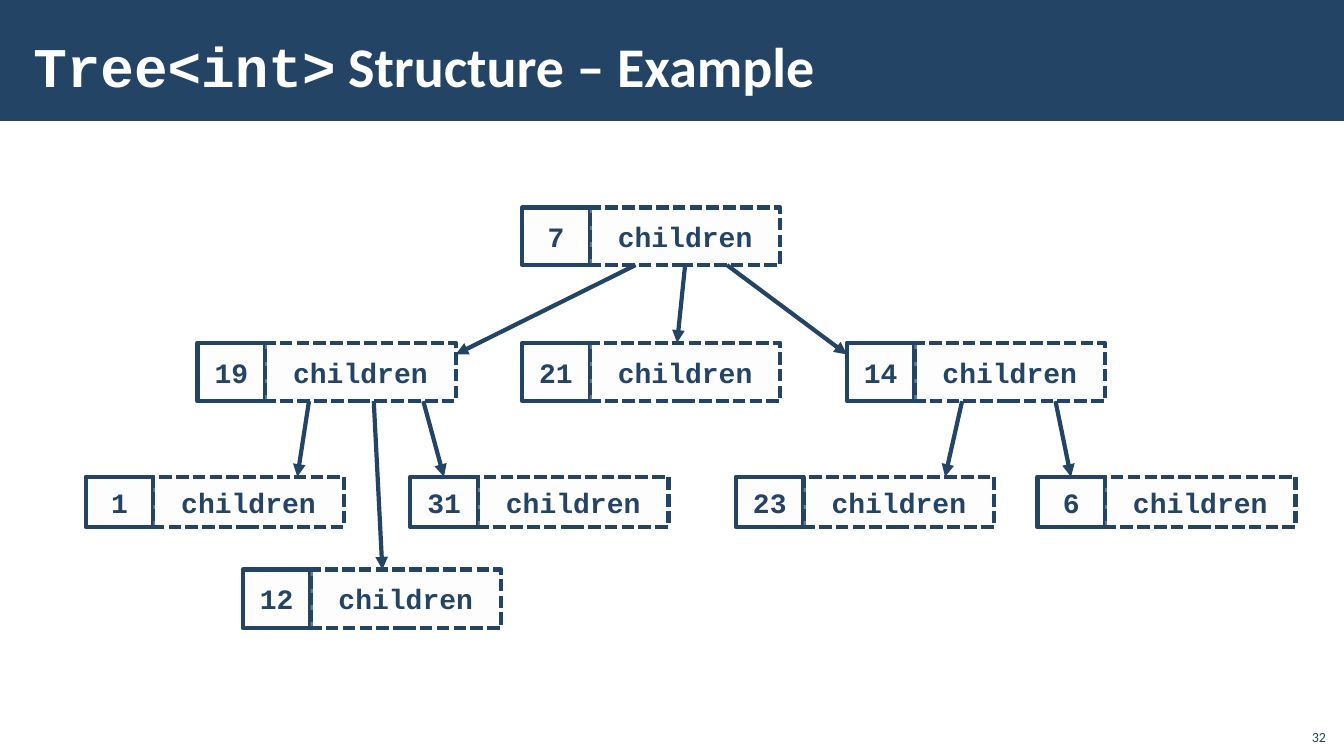
from dataclasses import dataclass

from lxml import etree
from pptx import Presentation
from pptx.dml.color import RGBColor
from pptx.enum.dml import MSO_LINE
from pptx.enum.shapes import MSO_CONNECTOR, MSO_SHAPE
from pptx.enum.text import MSO_ANCHOR, MSO_AUTO_SIZE, PP_ALIGN
from pptx.oxml.ns import qn
from pptx.util import Inches, Pt

RECT, STRAIGHT = MSO_SHAPE.RECTANGLE, MSO_CONNECTOR.STRAIGHT
SOLID, DASHED = MSO_LINE.SOLID, MSO_LINE.SQUARE_DOT
MIDDLE, BOTTOM = MSO_ANCHOR.MIDDLE, MSO_ANCHOR.BOTTOM
CENTER, LEFT, RIGHT = PP_ALIGN.CENTER, PP_ALIGN.LEFT, PP_ALIGN.RIGHT


@dataclass(frozen=True)
class Theme:
    navy: RGBColor = RGBColor(0x23, 0x44, 0x65)
    white: RGBColor = RGBColor(0xFF, 0xFF, 0xFF)
    cell: RGBColor = RGBColor(0xFB, 0xFB, 0xFC)
    cell_alpha: int = 30000
    code_font: str = "Courier New"
    text_font: str = "Calibri"
    title_size: int = 40
    node_size: int = 20
    number_size: int = 10
    stroke: int = 3


THEME = Theme()

# Content
TITLE = [("Tree<int>", THEME.code_font), (" Structure – Example", THEME.text_font)]
CHILDREN = "children"
PAGE = "32"

# Levels of the tree: top, height
LEVELS = [(2.06, 0.57), (3.4, 0.58), (4.73, 0.5), (5.65, 0.58)]
# Node value: level, left
NODES = {
    "7": (0, 5.18),
    "19": (1, 1.96), "21": (1, 5.18), "14": (1, 8.4),
    "1": (2, 0.85), "31": (2, 4.07), "23": (2, 7.3), "6": (2, 10.29),
    "12": (3, 2.41),
}
# Parent, share along its children cell, child, (x, y) shares of the child node
EDGES = [
    ("7", 0.24, "19", (1, 0.2)),
    ("7", 0.5, "21", (0.6, 0)),
    ("7", 0.72, "14", (0, 0.2)),
    ("14", 0.25, "23", (0.81, 0)),
    ("14", 0.74, "6", (0.13, 0)),
    ("19", 0.23, "1", (0.82, 0)),
    ("19", 0.57, "12", (0.54, 0)),
    ("19", 0.83, "31", (0.13, 0)),
]

# Grid
SLIDE_W, SLIDE_H = 13.33, 7.5
BAND_H = 0.16 * SLIDE_H
VALUE_W, CHILDREN_W = 0.67, 1.89
NODE_W = VALUE_W + CHILDREN_W


def add_run(paragraph, text, font, size, color, bold=False):
    run = paragraph.add_run()
    run.text = text
    run.font.name, run.font.size, run.font.bold = font, Pt(size), bold
    run.font.color.rgb = color


def add_cell(slide, left, top, width, height, text, dash):
    cell = slide.shapes.add_shape(RECT, *map(Inches, (left, top, width, height)))
    cell.shadow.inherit = False
    cell.fill.solid()
    cell.fill.fore_color.rgb = THEME.cell
    color = cell.fill._xPr.find(qn("a:solidFill"))[0]
    etree.SubElement(color, qn("a:alpha"), val=str(THEME.cell_alpha))
    cell.line.color.rgb = THEME.navy
    cell.line.width = Pt(THEME.stroke)
    cell.line.dash_style = dash
    frame = cell.text_frame
    frame.word_wrap, frame.vertical_anchor = False, MIDDLE
    frame.paragraphs[0].alignment = CENTER
    add_run(frame.paragraphs[0], text, THEME.code_font, THEME.node_size, THEME.navy, True)
    return cell


def add_arrow(slide, start, end):
    arrow = slide.shapes.add_connector(STRAIGHT, *map(Inches, (*start, *end)))
    arrow.line.color.rgb = THEME.navy
    arrow.line.width = Pt(THEME.stroke)
    etree.SubElement(arrow.line._get_or_add_ln(), qn("a:tailEnd"), type="triangle")
    etree.SubElement(arrow._element.spPr, qn("a:effectLst"))
    return arrow


def add_header(slide):
    band = slide.shapes.add_shape(RECT, 0, 0, Inches(SLIDE_W), Inches(BAND_H))
    band.shadow.inherit = False
    band.fill.solid()
    band.fill.fore_color.rgb = THEME.navy
    band.line.fill.background()
    slide.shapes._spTree.insert(2, band._element)  # behind the title

    title = slide.shapes.title
    title.left, title.top, title.width, title.height = map(Inches, (0.21, 0.04, 10.47, 1.21))
    frame = title.text_frame
    frame.auto_size, frame.vertical_anchor = MSO_AUTO_SIZE.NONE, MIDDLE
    frame.margin_left = frame.margin_right = Inches(0.12)
    frame.margin_top = frame.margin_bottom = Inches(0.04)
    frame.paragraphs[0].alignment = LEFT
    for text, font in TITLE:
        add_run(frame.paragraphs[0], text, font, THEME.title_size, THEME.white, True)


def add_tree(slide):
    children_cells = {}
    for value, (level, left) in NODES.items():
        top, height = LEVELS[level]
        add_cell(slide, left, top, VALUE_W, height, value, SOLID)
        children_cells[value] = add_cell(
            slide, left + VALUE_W, top, CHILDREN_W, height, CHILDREN, DASHED)

    for parent, share, child, (x, y) in EDGES:
        level, left = NODES[parent]
        start = left + VALUE_W + share * CHILDREN_W, sum(LEVELS[level])
        level, left = NODES[child]
        top, height = LEVELS[level]
        arrow = add_arrow(slide, start, (left + x * NODE_W, top + y * height))
        if share == 0.5:
            arrow.begin_connect(children_cells[parent], 2)


def add_page_number(slide):
    box = slide.shapes.add_textbox(*map(Inches, (12.85, 7.12, 0.4, 0.32)))
    frame = box.text_frame
    frame.word_wrap, frame.vertical_anchor = True, BOTTOM
    frame.paragraphs[0].alignment = RIGHT
    add_run(frame.paragraphs[0], PAGE, THEME.text_font, THEME.number_size, THEME.navy)


def main():
    deck = Presentation()
    deck.slide_width, deck.slide_height = Inches(SLIDE_W), Inches(SLIDE_H)
    slide = deck.slides.add_slide(deck.slide_layouts[5])
    add_header(slide)
    add_tree(slide)
    add_page_number(slide)
    deck.save("out.pptx")


if __name__ == "__main__":
    main()
